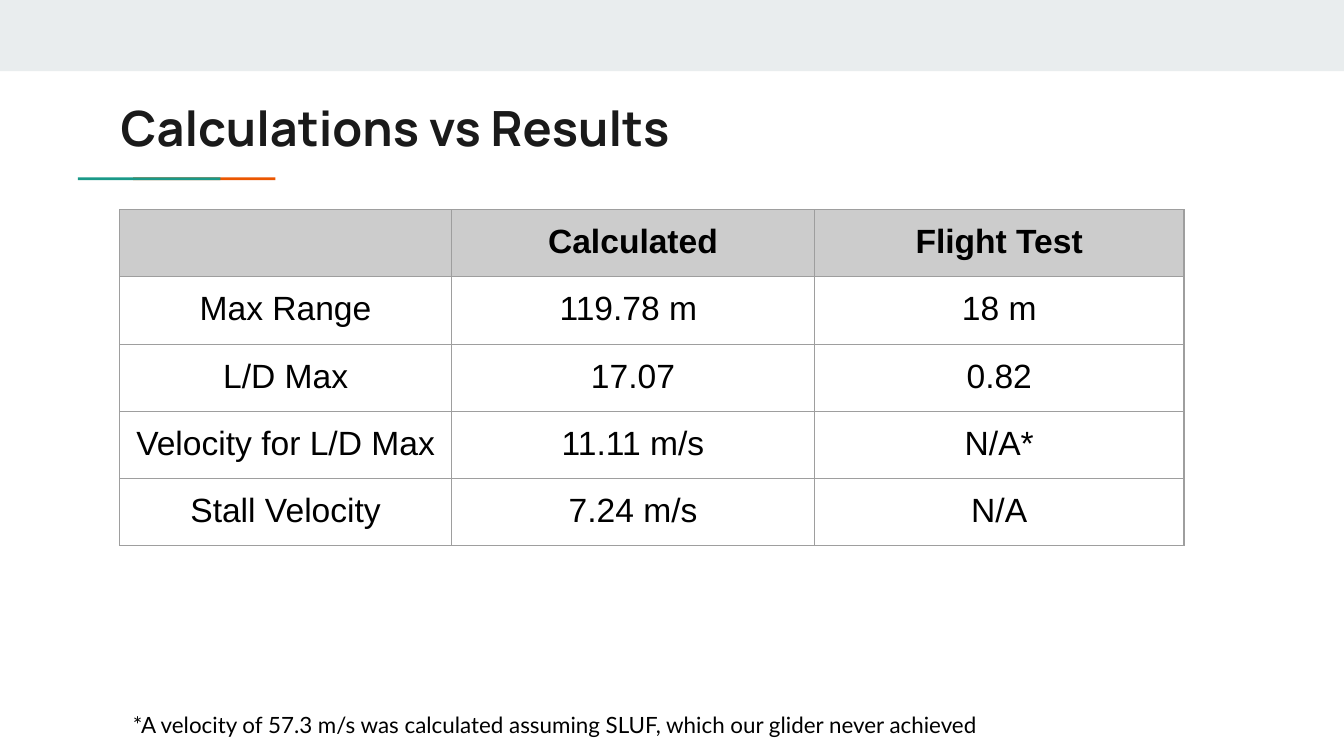
import pptx
import pptx.dml.color
import pptx.enum.shapes
import pptx.enum.text
import pptx.oxml
import pptx.oxml.ns
import pptx.util

TITLE = "Calculations vs Results"
TABLE_ROWS = [
    ("", "Calculated", "Flight Test"),
    ("Max Range", "119.78 m ", "18 m"),
    ("L/D Max", "17.07", "0.82"),
    ("Velocity for L/D Max", "11.11 m/s", "N/A*"),
    ("Stall Velocity", "7.24 m/s", "N/A"),
]
FOOTNOTE = ("*A velocity of 57.3 m/s was calculated assuming SLUF, "
            "which our glider never achieved")

THEME = {
    "band": "E9EDEE", "orange": "EB5600", "teal": "1A9988",
    "header": "CCCCCC", "border": "9E9E9E",
    "title": {"font": "Manrope", "size": 26, "color": "1A1A1A", "bold": True},
    "header_text": {"font": "Arial", "size": 18, "color": "000000", "bold": True},
    "body_text": {"font": "Arial", "size": 18, "color": "000000", "bold": False},
    "footnote": {"font": "Lato", "size": 12, "color": "000000", "bold": False},
}

SLIDE_WIDTH = 10
SLIDE_HEIGHT = SLIDE_WIDTH * 9 / 16
TABLE_LEFT, TABLE_TOP = 0.89, 1.56
TABLE_FRAME = 3.28
COLUMN_WIDTHS = (2.47, 2.7, 2.75)
ROW_HEIGHT = 0.42
ACCENT_LEFT, ACCENT_TOP, ACCENT_STEP = 0.58, 1.32, 0.41
ACCENT_WIDTH, ACCENT_HEIGHT = 1.06, 0.02
INSET = 0.1
BORDER_WIDTH = 0.75

inches = pptx.util.Inches


def rgb(color):
    return pptx.dml.color.RGBColor.from_string(color)


def add_bar(slide, left, top, width, height, color):
    shape = slide.shapes.add_shape(
        pptx.enum.shapes.MSO_SHAPE.RECTANGLE,
        inches(left), inches(top), inches(width), inches(height))
    shape.shadow.inherit = False
    shape.fill.solid()
    shape.fill.fore_color.rgb = rgb(color)
    shape.line.fill.background()


def add_run(paragraph, text, style):
    run = paragraph.add_run()
    run.text = text
    run.font.name = style["font"]
    run.font.size = pptx.util.Pt(style["size"])
    run.font.bold = style["bold"]
    run.font.color.rgb = rgb(style["color"])


def set_paragraph_end(paragraph, style):
    """Keep the default font from stretching the line height."""
    paragraph._p.append(pptx.oxml.parse_xml(
        f'<a:endParaRPr {pptx.oxml.ns.nsdecls("a")} sz="{style["size"] * 100}">'
        f'<a:latin typeface="{style["font"]}"/></a:endParaRPr>'))


def set_insets(target):
    """Give a text frame or a table cell the same margin on every side."""
    target.margin_left = target.margin_right = inches(INSET)
    target.margin_top = target.margin_bottom = inches(INSET)


def add_text(slide, left, top, width, height, text, style):
    shape = slide.shapes.add_textbox(
        inches(left), inches(top), inches(width), inches(height))
    frame = shape.text_frame
    frame.word_wrap = True
    frame.vertical_anchor = pptx.enum.text.MSO_ANCHOR.TOP
    set_insets(frame)
    add_run(frame.paragraphs[0], text, style)


def add_borders(cell):
    properties = cell._tc.get_or_add_tcPr()
    for position, side in enumerate(("lnL", "lnR", "lnT", "lnB")):
        line = pptx.oxml.parse_xml(
            f'<a:{side} {pptx.oxml.ns.nsdecls("a")} w="{pptx.util.Pt(BORDER_WIDTH)}">'
            f'<a:solidFill><a:srgbClr val="{THEME["border"]}"/></a:solidFill>'
            f'</a:{side}>')
        properties.insert(position, line)


def add_results_table(slide):
    graphic_frame = slide.shapes.add_table(
        len(TABLE_ROWS), len(COLUMN_WIDTHS), inches(TABLE_LEFT), inches(TABLE_TOP),
        inches(TABLE_FRAME), inches(TABLE_FRAME))
    table = graphic_frame.table
    table.horz_banding = False
    for column, width in zip(table.columns, COLUMN_WIDTHS):
        column.width = inches(width)
    for row_index, values in enumerate(TABLE_ROWS):
        table.rows[row_index].height = inches(ROW_HEIGHT)
        is_header = row_index == 0
        style = THEME["header_text" if is_header else "body_text"]
        for column_index, value in enumerate(values):
            cell = table.cell(row_index, column_index)
            set_insets(cell)
            if is_header:
                cell.fill.solid()
                cell.fill.fore_color.rgb = rgb(THEME["header"])
            else:
                cell.fill.background()
            add_borders(cell)
            paragraph = cell.text_frame.paragraphs[0]
            paragraph.alignment = pptx.enum.text.PP_ALIGN.CENTER
            if value:
                add_run(paragraph, value, style)
            set_paragraph_end(paragraph, style)
    # Sizing rows and columns resizes the frame, so its size is set last.
    graphic_frame.width = graphic_frame.height = inches(TABLE_FRAME)


def main():
    presentation = pptx.Presentation()
    presentation.slide_width = inches(SLIDE_WIDTH)
    presentation.slide_height = inches(SLIDE_HEIGHT)
    slide = presentation.slides.add_slide(presentation.slide_layouts[6])

    add_bar(slide, 0, 0, SLIDE_WIDTH, 0.53, THEME["band"])
    for step, color in ((1, "orange"), (0, "teal")):
        add_bar(slide, ACCENT_LEFT + step * ACCENT_STEP, ACCENT_TOP,
                ACCENT_WIDTH, ACCENT_HEIGHT, THEME[color])
    add_text(slide, 0.8, 0.63, 8.41, 0.59, TITLE, THEME["title"])
    add_results_table(slide)
    add_text(slide, TABLE_LEFT, 5.19, 6.51, 0.37, FOOTNOTE, THEME["footnote"])
    presentation.save("out.pptx")


if __name__ == "__main__":
    main()
